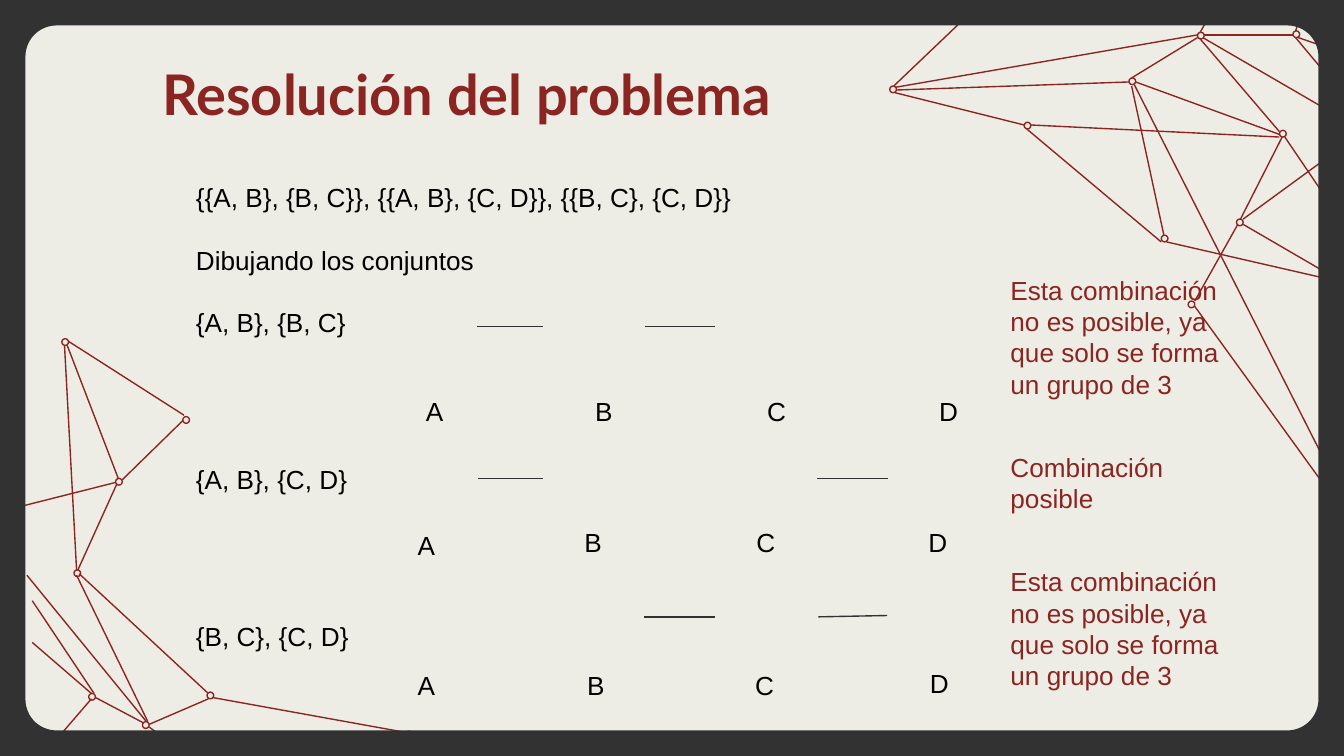
"""Build the slide that solves the problem by drawing pairs of sets."""
from dataclasses import dataclass
from math import cos, radians, sin

from lxml.etree import SubElement
from pptx import Presentation
from pptx.dml.color import RGBColor
from pptx.enum.shapes import MSO_CONNECTOR, MSO_SHAPE
from pptx.oxml.ns import qn
from pptx.slide import Slide
from pptx.text.text import TextFrame
from pptx.util import Inches, Pt

Point = tuple[float, float]
Segment = tuple[float, float, float, float]

COLORS = {"paper": "EDEDE5", "frame": "323232", "accent": "8A2522", "dash": "313131", "text": "000000"}
WIDTH = 10
HEIGHT = WIDTH * 9 / 16
BORDER, CORNER = 0.19, 0.23
NODE_SIZE = 0.05
LINE_HEIGHT = 16.8


@dataclass(frozen=True)
class Network:
    """Edges and node corners of one decorative network."""
    edges: list[Segment]
    nodes: list[Point]


@dataclass(frozen=True)
class Combination:
    """Dashes, letters and verdict of one pair of sets."""
    dashes: list[Segment]
    letters: list[Point]
    verdict: str
    verdict_top: float
    verdict_height: float


NETWORKS = [
    Network(
        edges=[
            (3.78, 5.75, 3.06, 5.47), (1.58, 5.19, 3.02, 5.45), (0.91, 3.57, 1.36, 3.13),
            (1.11, 5.39, 1.55, 5.2), (0.51, 2.54, 1.37, 3.09), (0.59, 4.27, 1.55, 5.16),
            (0.57, 4.28, 1.1, 5.37), (0.5, 2.57, 0.88, 3.56), (0.48, 2.57, 0.57, 4.24),
            (0.2, 4.28, 1.09, 5.37), (-0.09, 3.83, 0.86, 3.59), (0.24, 4.47, 0.7, 5.16),
            (0.71, 5.19, 1.07, 5.38), (0.25, 5.7, 0.68, 5.2), (0.24, 4.78, 0.68, 5.16),
            (0.58, 4.24, 0.87, 3.6), (1.11, 5.41, 1.72, 5.86),
        ],
        nodes=[
            (1.36, 3.1), (3.02, 5.44), (1.54, 5.15), (1.06, 5.37),
            (0.86, 3.56), (0.55, 4.24), (0.66, 5.16), (0.46, 2.52),
        ],
    ),
    Network(
        edges=[
            (8.91, 0.26, 6.66, 0.65), (7.29, 0.03, 6.65, 0.64), (8.4, 0.61, 6.67, 0.67),
            (9.21, 1.67, 8.89, 2.24), (8.91, 0.28, 8.42, 0.58), (10.05, 3.81, 8.44, 0.63),
            (9.52, 1.02, 7.67, 0.93), (10.86, 2.3, 8.68, 1.8), (10.02, 3.84, 8.89, 2.28),
            (9.52, 1, 8.45, 0.61), (9.52, 0.98, 8.93, 0.29), (10.23, 2.24, 9.25, 1.67),
            (10.17, 1.92, 9.56, 1.02), (10.31, 1.07, 8.95, 0.28), (10.14, 0.98, 9.25, 1.63),
            (10.15, 0.89, 9.64, 0.28), (9.62, 0.26, 8.96, 0.26), (9.88, -0.48, 9.64, 0.23),
            (10.27, 0.49, 9.66, 0.28), (8.42, 0.64, 8.66, 1.75), (8.64, 1.8, 7.64, 0.96),
            (6.66, 0.69, 7.62, 0.93), (9.54, 1.02, 9.23, 1.63), (8.93, 0.24, 9.19, -0.22),
        ],
        nodes=[
            (8.84, 2.24), (7.62, 0.91), (8.64, 1.75), (6.62, 0.64), (8.4, 0.58),
            (8.91, 0.24), (9.2, 1.63), (9.52, 0.97), (9.62, 0.23),
        ],
    ),
]

IMPOSSIBLE = "Esta combinación no es posible, ya que solo se forma un grupo de 3"
COMBINATIONS = [
    Combination([(3.55, 2.43, 4.04, 2.43), (4.8, 2.43, 5.32, 2.43)],
                [(3.07, 2.89), (4.33, 2.89), (5.61, 2.89), (6.89, 2.89)],
                IMPOSSIBLE, 1.99, 1.04),
    Combination([(3.56, 3.56, 4.04, 3.56), (6.08, 3.56, 6.61, 3.56)],
                [(3.01, 3.89), (4.25, 3.87), (5.53, 3.87), (6.81, 3.87)],
                "Combinación posible", 3.31, 0.57),
    Combination([(4.79, 4.59, 5.32, 4.59), (6.09, 4.59, 6.6, 4.58)],
                [(3.01, 4.93), (4.27, 4.93), (5.52, 4.93), (6.82, 4.92)],
                IMPOSSIBLE, 4.16, 1.04),
]

STATEMENTS = [
    ("{{A, B}, {B, C}}, {{A, B}, {C, D}}, {{B, C}, {C, D}}", 0),
    ("Dibujando los conjuntos", 1),
    ("{A, B}, {B, C}", 1),
    ("{A, B}, {C, D}", 4),
    ("{B, C}, {C, D}", 4),
]


def color(name: str) -> RGBColor:
    """Return the named colour."""
    return RGBColor.from_string(COLORS[name])


def add_line(slide: Slide, segment: Segment, color_name: str) -> None:
    """Draw a thin straight line without a shadow."""
    line = slide.shapes.add_connector(MSO_CONNECTOR.STRAIGHT, *map(Inches, segment))
    line.line.color.rgb = color(color_name)
    line.line.width = Pt(0.75)
    SubElement(line._element.spPr, qn("a:effectLst"))


def add_network(slide: Slide, network: Network) -> None:
    """Draw the edges of a network and its hollow nodes."""
    for edge in network.edges:
        add_line(slide, edge, "accent")
    for left, top in network.nodes:
        node = slide.shapes.add_shape(
            MSO_SHAPE.OVAL, Inches(left), Inches(top), Inches(NODE_SIZE), Inches(NODE_SIZE))
        node.shadow.inherit = False
        node.fill.background()
        node.line.color.rgb = color("accent")
        node.line.width = Pt(0.75)


def add_frame(slide: Slide) -> None:
    """Draw the dark border around a window with rounded corners."""
    near = BORDER + CORNER
    right, bottom = WIDTH - near, HEIGHT - near
    corners = [(right, bottom, 0), (near, bottom, 90), (near, near, 180), (right, near, 270)]
    window = [
        (Inches(x + CORNER * cos(radians(start + turn))),
         Inches(y + CORNER * sin(radians(start + turn))))
        for x, y, start in corners for turn in range(0, 91, 6)
    ]
    width, height = Inches(WIDTH), Inches(HEIGHT)
    builder = slide.shapes.build_freeform(0, 0)
    builder.add_line_segments([(0, height), (width, height), (width, 0)], close=True)
    builder.move_to(*window[0])
    builder.add_line_segments(window[1:], close=True)
    frame = builder.convert_to_shape()
    frame.shadow.inherit = False
    frame.fill.solid()
    frame.fill.fore_color.rgb = color("frame")
    frame.line.fill.background()


def add_text(slide: Slide, box: Segment, lines: list[str], color_name: str = "text",
             wrap: bool = True) -> TextFrame:
    """Write one paragraph per line in a text box."""
    text_frame = slide.shapes.add_textbox(*map(Inches, box)).text_frame
    text_frame.word_wrap = wrap
    text_frame.text = "\n".join(lines)
    for paragraph in text_frame.paragraphs:
        paragraph.line_spacing = Pt(LINE_HEIGHT)
        for run in paragraph.runs:
            run.font.name = "Arial"
            run.font.size = Pt(14)
            run.font.color.rgb = color(color_name)
    return text_frame


def add_title(slide: Slide) -> None:
    """Write the slide title."""
    title = add_text(slide, (1.11, 0.34, 8.42, 0.63), ["Resolución del problema"], "accent")
    title.margin_top = title.margin_bottom = Inches(0.1)
    title.paragraphs[0].line_spacing = 1.0
    font = title.paragraphs[0].runs[0].font
    font.name, font.size, font.bold = "Lato", Pt(30), True


def add_statements(slide: Slide) -> None:
    """Write the set expressions, spaced by whole lines."""
    body = add_text(slide, (1.36, 1.3, 7.2, 3.64), [text for text, _ in STATEMENTS])
    for paragraph, (_, gap) in zip(body.paragraphs, STATEMENTS):
        if gap:
            paragraph.space_before = Pt(gap * LINE_HEIGHT)


def add_combination(slide: Slide, combination: Combination) -> None:
    """Draw the dashes, letters and verdict of one combination."""
    for dash in combination.dashes:
        add_line(slide, dash, "dash")
    for letter, (left, top) in zip("ABCD", combination.letters):
        add_text(slide, (left, top, 0.34, 0.34), [letter], wrap=False)
    add_text(slide, (7.42, combination.verdict_top, 1.96, combination.verdict_height),
             [combination.verdict], "accent")


def main() -> None:
    """Build and save the presentation."""
    presentation = Presentation()
    presentation.slide_width, presentation.slide_height = Inches(WIDTH), Inches(HEIGHT)
    slide = presentation.slides.add_slide(presentation.slide_layouts[6])
    slide.background.fill.solid()
    slide.background.fill.fore_color.rgb = color("paper")
    for network in NETWORKS:
        add_network(slide, network)
    add_frame(slide)
    add_title(slide)
    add_statements(slide)
    for combination in COMBINATIONS:
        add_combination(slide, combination)
    presentation.save("out.pptx")


if __name__ == "__main__":
    main()
